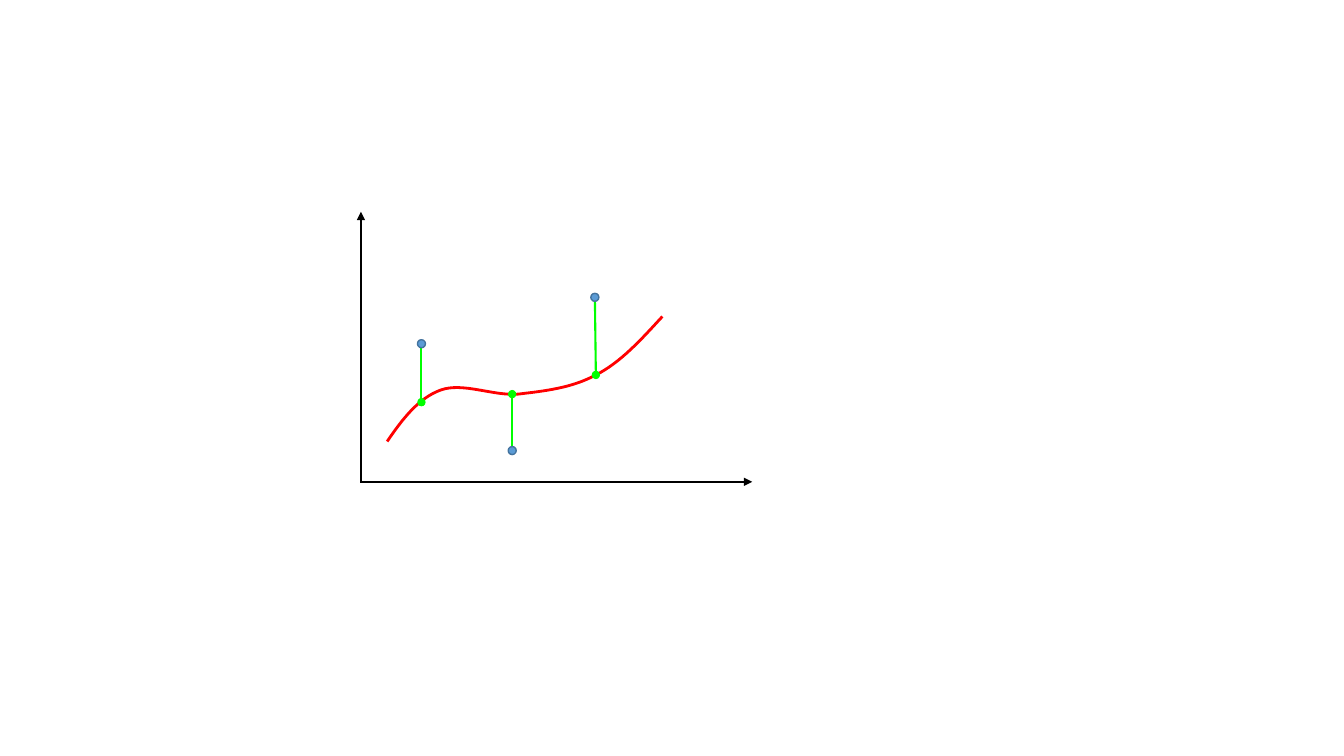
from lxml import etree
from pptx import Presentation
from pptx.dml.color import RGBColor
from pptx.enum.shapes import MSO_CONNECTOR, MSO_SHAPE
from pptx.oxml.ns import qn
from pptx.util import Inches, Pt

STRAIGHT = MSO_CONNECTOR.STRAIGHT
OVAL = MSO_SHAPE.OVAL

# Content: lengths in inches
AXES = [((3.58, 4.79), (3.58, 2.10)), ((3.58, 4.78), (7.46, 4.78))]
CURVE_START = (3.84, 4.38)
CURVE_BEZIERS = [
    ((3.99, 4.16), (4.15, 3.95), (4.37, 3.87)),
    ((4.59, 3.79), (4.89, 3.93), (5.14, 3.91)),
    ((5.40, 3.88), (5.67, 3.85), (5.91, 3.72)),
    ((6.15, 3.60), (6.36, 3.37), (6.57, 3.14)),
]
# Each residual runs from a data point to the curve
RESIDUALS = [
    ((4.18, 3.41), (4.18, 3.99)),
    ((5.90, 2.95), (5.91, 3.72)),
    ((5.08, 4.47), (5.08, 3.91)),
]
POINT_SIZE = 0.08
CURVE_STEPS = 16
BLACK, RED, GREEN = "000000", "FF0000", "00FF00"
POINT_FILL, POINT_EDGE = "5B9BD5", "43739E"


def set_color(color_format, hex_color):
    color_format.rgb = RGBColor.from_string(hex_color)


def style_line(shape, hex_color, width):
    set_color(shape.line.color, hex_color)
    shape.line.width = Pt(width)


def add_ended_line(shapes, start, end, hex_color, end_type):
    line = shapes.add_connector(STRAIGHT, *map(Inches, start + end))
    style_line(line, hex_color, 1.5)
    tail = etree.SubElement(line.line._get_or_add_ln(), qn("a:tailEnd"))
    tail.set("type", end_type)
    etree.SubElement(line._element.spPr, qn("a:effectLst"))


def bezier_point(p0, p1, p2, p3, t):
    s = 1 - t
    return tuple(
        Inches(s**3 * a + 3 * s**2 * t * b + 3 * s * t**2 * c + t**3 * d)
        for a, b, c, d in zip(p0, p1, p2, p3)
    )


prs = Presentation()
prs.slide_width, prs.slide_height = Inches(13.33), Inches(7.5)
shapes = prs.slides.add_slide(prs.slide_layouts[6]).shapes

# Fitted curve
curve_points = []
knot = CURVE_START
for bezier in CURVE_BEZIERS:
    curve_points += [bezier_point(knot, *bezier, step / CURVE_STEPS)
                     for step in range(1, CURVE_STEPS + 1)]
    knot = bezier[-1]
builder = shapes.build_freeform(*map(Inches, CURVE_START))
builder.add_line_segments(curve_points, close=False)
curve = builder.convert_to_shape()
curve.shadow.inherit = False
curve.fill.background()
style_line(curve, RED, 2)

# Axes
for start, end in AXES:
    add_ended_line(shapes, start, end, BLACK, "triangle")

# Residuals and data points
for data_point, fitted_point in RESIDUALS:
    add_ended_line(shapes, data_point, fitted_point, GREEN, "oval")
    left, top = (Inches(center - POINT_SIZE / 2) for center in data_point)
    dot = shapes.add_shape(OVAL, left, top, Inches(POINT_SIZE), Inches(POINT_SIZE))
    dot.shadow.inherit = False
    dot.fill.solid()
    set_color(dot.fill.fore_color, POINT_FILL)
    style_line(dot, POINT_EDGE, 1)

prs.save("out.pptx")
